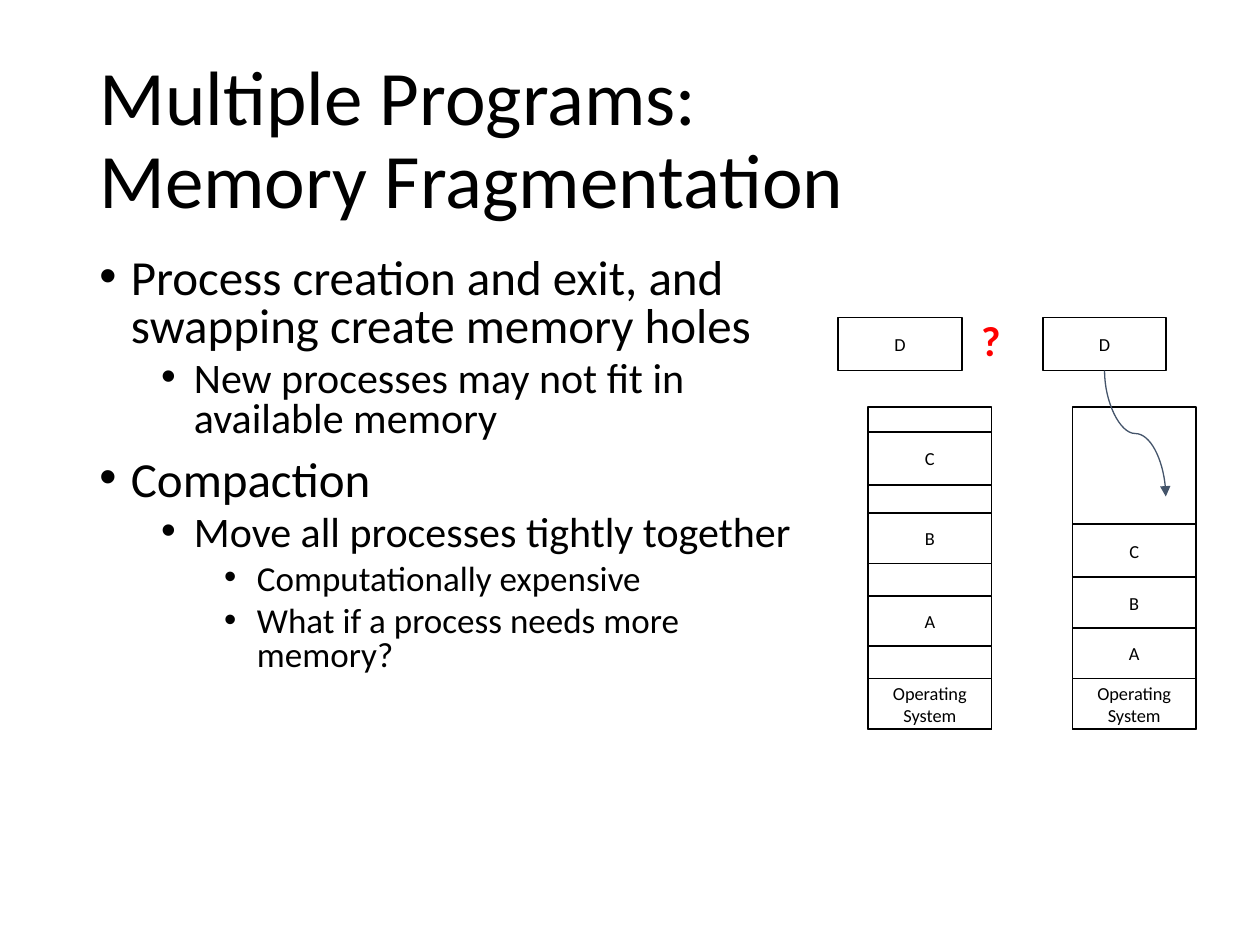
from dataclasses import dataclass

from lxml import etree
from pptx import Presentation
from pptx import util as u
from pptx.dml.color import RGBColor
from pptx.enum import shapes, text
from pptx.oxml.ns import qn

BLACK = RGBColor(0x00, 0x00, 0x00)
WHITE = RGBColor(0xFF, 0xFF, 0xFF)
RED = RGBColor(0xFF, 0x00, 0x00)
SLATE = RGBColor(0x44, 0x54, 0x6A)
FONT = "Calibri"

# Memory maps, lengths in cm
BLOCK_W = 2.49
MAP_TOP, MAP_H = 8.2, 6.5
WAITING_TOP, WAITING_SHIFT = 6.4, -0.6
HEIGHTS = {"Operating System": 1.02, "A": 1.02, "B": 1.02, "C": 1.07, "D": 1.07}


@dataclass
class Bullet:
    text: str
    level: int = 0
    before: float = 5


@dataclass
class MemoryMap:
    left: float
    tops: dict[str, float]


BULLETS = [
    Bullet("Process creation and exit, and swapping create memory holes", before=0),
    Bullet("New processes may not fit in available memory", 1),
    Bullet("Compaction", before=10),
    Bullet("Move all processes tightly together", 1),
    Bullet("Computationally expensive", 2),
    Bullet("What if a process needs more memory?", 2),
]


def write(p, words: str, *, size: float, color: RGBColor = BLACK, bold: bool = False,
          align=text.PP_ALIGN.LEFT, spacing: float = 1.0, before: float = 0) -> None:
    p.text = words
    p.alignment = align
    p.line_spacing = spacing
    p.space_before = u.Pt(before)
    for r in p.runs:
        r.font.name, r.font.size, r.font.bold = FONT, u.Pt(size), bold
        r.font.color.rgb = color


def place(sp, left: float, top: float, width: float, height: float) -> None:
    sp.left, sp.top, sp.width, sp.height = map(u.Cm, (left, top, width, height))


def add_bullet(p, bullet: Bullet) -> None:
    p.level = bullet.level
    pPr = p._p.get_or_add_pPr()
    pPr.set("marL", str(u.Cm(0.635 + 1.27 * bullet.level)))
    pPr.set("indent", str(u.Cm(-0.66)))
    etree.SubElement(pPr, qn("a:buFont")).set("typeface", "Arial")
    etree.SubElement(pPr, qn("a:buChar")).set("char", "•")
    write(p, bullet.text, size=28 - 4 * bullet.level, spacing=0.8, before=bullet.before)


def add_block(parent, left: float, top: float, height: float, label: str = "") -> None:
    sp = parent.shapes.add_shape(shapes.MSO_SHAPE.RECTANGLE, u.Cm(left), u.Cm(top),
                                 u.Cm(BLOCK_W), u.Cm(height))
    sp.shadow.inherit = False
    sp.fill.solid()
    sp.fill.fore_color.rgb = WHITE
    sp.line.color.rgb = BLACK
    sp.line.width = u.Pt(1)
    if label:
        tf = sp.text_frame
        tf.word_wrap = True
        tf.vertical_anchor = text.MSO_ANCHOR.MIDDLE
        write(tf.paragraphs[0], label, size=10.5, align=text.PP_ALIGN.CENTER)


def add_memory_map(s, memory: MemoryMap):
    group = s.shapes.add_group_shape()
    add_block(group, memory.left, MAP_TOP, MAP_H)
    for name, top in memory.tops.items():
        add_block(group, memory.left, top, HEIGHTS[name], name)
    add_block(group, memory.left + WAITING_SHIFT, WAITING_TOP, HEIGHTS["D"], "D")
    return group


def compacted_tops() -> dict[str, float]:
    """Stack the processes upwards from the bottom of the map."""
    tops, top = {}, MAP_TOP + MAP_H
    for name in ("Operating System", "A", "B", "C"):
        top -= HEIGHTS[name]
        tops[name] = top
    return tops


def add_curved_arrow(s, x1: float, y1: float, x2: float, y2: float) -> None:
    """Draw a curve that leaves and arrives vertically."""
    across, down = x2 - x1, y2 - y1
    left, top = (x1 + x2 - down) / 2, (y1 + y2 - across) / 2
    cxn = s.shapes.add_connector(shapes.MSO_CONNECTOR.CURVE, u.Cm(left), u.Cm(top),
                                 u.Cm(left + down), u.Cm(top + across))
    cxn.line.color.rgb = SLATE
    cxn.line.width = u.Pt(0.75)
    spPr = cxn._element.spPr
    xfrm = spPr.find(qn("a:xfrm"))
    xfrm.set("rot", "16200000")
    xfrm.set("flipH", "1")
    etree.SubElement(spPr.find(qn("a:ln")), qn("a:tailEnd")).set("type", "triangle")
    etree.SubElement(spPr, qn("a:effectLst"))


def main() -> None:
    prs = Presentation()
    prs.slide_width, prs.slide_height = u.Cm(25.4), u.Cm(19.05)
    s = prs.slides.add_slide(prs.slide_layouts[1])

    # Title
    title = s.shapes.title
    place(title, 1.75, 1.02, 21.9, 3.68)
    title.text_frame.auto_size = text.MSO_AUTO_SIZE.NONE
    title.text_frame.vertical_anchor = text.MSO_ANCHOR.MIDDLE
    write(title.text_frame.paragraphs[0], "Multiple Programs:\vMemory Fragmentation",
          size=44, spacing=0.9)

    # Bullet list
    body = s.placeholders[1]
    place(body, 1.75, 5.08, 14.58, 12.09)
    tf = body.text_frame
    tf.auto_size = text.MSO_AUTO_SIZE.NONE
    for i, bullet in enumerate(BULLETS):
        add_bullet(tf.add_paragraph() if i else tf.paragraphs[0], bullet)

    # Fragmented memory, with no hole large enough for D
    fragmented = MemoryMap(17.5, {"C": 8.71, "B": 10.34, "A": 12.01,
                                  "Operating System": 13.68})
    group = add_memory_map(s, fragmented)
    question = group.shapes.add_textbox(u.Cm(19.53), u.Cm(6.22), u.Cm(0.91), u.Cm(1.27))
    question.text_frame.word_wrap = False
    write(question.text_frame.paragraphs[0], "?", size=24, color=RED, bold=True)

    # Compacted memory, with D moving into the free space
    compacted = MemoryMap(21.62, compacted_tops())
    add_memory_map(s, compacted)
    waiting_center = compacted.left + WAITING_SHIFT + BLOCK_W / 2
    add_curved_arrow(s, waiting_center, WAITING_TOP + HEIGHTS["D"], 23.5, 10.01)

    prs.save("out.pptx")


if __name__ == "__main__":
    main()
